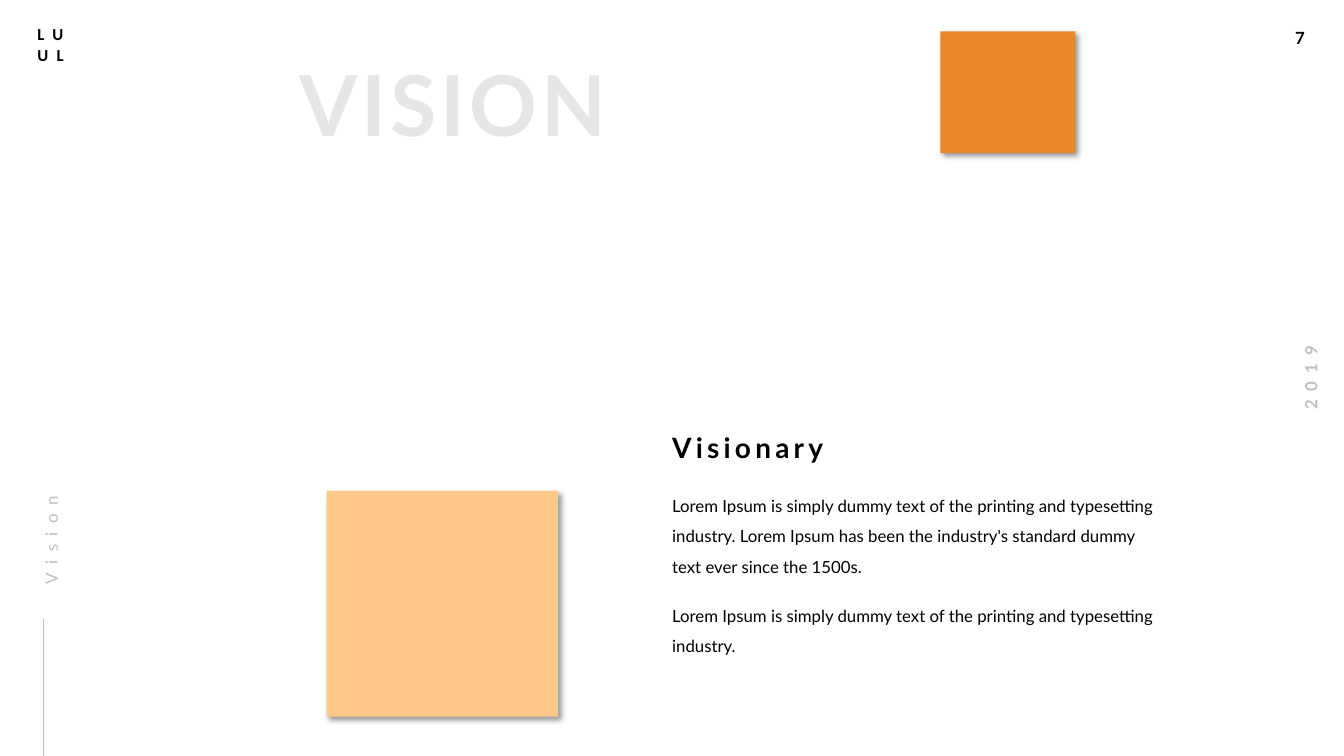
import pptx
import pptx.util
import pptx.dml.color
import pptx.enum.shapes
import pptx.enum.text
import pptx.oxml
import pptx.oxml.ns

Cm = pptx.util.Cm
Pt = pptx.util.Pt
NS = pptx.oxml.ns.nsdecls("a")
SHADOW = (
    f'<a:effectLst {NS}><a:outerShdw blurRad="50800" dist="38100" dir="2700000" algn="tl" rotWithShape="0">'
    '<a:srgbClr val="000000"><a:alpha val="40000"/></a:srgbClr></a:outerShdw></a:effectLst>'
)
BLACK = "000000"
GREY = "BFBFBF"
PALE_GREY = "E6E6E6"
ORANGE = "EB872B"
PEACH = "FFC888"


def rgb(value):
    return pptx.dml.color.RGBColor.from_string(value)


class VisionSlide:
    font = "Lato"
    inset = (0.25, 0.13, 0.25, 0.13)
    flush = (0, 0, 0.25, 0)

    def __init__(self, prs):
        self.slide = prs.slides.add_slide(prs.slide_layouts[5])

    def fill_text(self, sp, lines, size=12, color=BLACK, bold=False, spacing=0, font=None,
                  leading=1.0, align=pptx.enum.text.PP_ALIGN.LEFT, inset=inset, wrap=True):
        tf = sp.text_frame
        tf.word_wrap = wrap
        tf.auto_size = pptx.enum.text.MSO_AUTO_SIZE.SHAPE_TO_FIT_TEXT
        tf.vertical_anchor = pptx.enum.text.MSO_ANCHOR.TOP
        tf.margin_left, tf.margin_top, tf.margin_right, tf.margin_bottom = map(Cm, inset)
        tf.text = lines
        for p in tf.paragraphs:
            p.alignment = align
            p.line_spacing = leading
            p.space_before = Pt(0)
            p.font.name = font or self.font
            p.font.size = Pt(size)
            p.font.bold = bold
            p.font.color.rgb = rgb(color)
            for r in p.runs:
                r._r.get_or_add_rPr().set("spc", str(spacing * 100))

    def title(self, text, x, y, w, h, **style):
        sp = self.slide.shapes.title
        sp.left, sp.top, sp.width, sp.height = map(Cm, (x, y, w, h))
        self.fill_text(sp, text, **style)

    def text(self, text, x, y, w, h, rotation=0, **style):
        sp = self.slide.shapes.add_textbox(Cm(x), Cm(y), Cm(w), Cm(h))
        sp.rotation = rotation
        self.fill_text(sp, text, **style)

    def block(self, x, y, w, h, color):
        sp = self.slide.shapes.add_shape(
            pptx.enum.shapes.MSO_SHAPE.RECTANGLE, Cm(x), Cm(y), Cm(w), Cm(h))
        sp.fill.solid()
        sp.fill.fore_color.rgb = rgb(color)
        sp.line.fill.background()
        sp._element.spPr.append(pptx.oxml.parse_xml(SHADOW))

    def line(self, x1, y1, x2, y2, color, width):
        cn = self.slide.shapes.add_connector(
            pptx.enum.shapes.MSO_CONNECTOR.STRAIGHT, Cm(x1), Cm(y1), Cm(x2), Cm(y2))
        cn.line.color.rgb = rgb(color)
        cn.line.width = Pt(width)
        cn._element.spPr.append(pptx.oxml.parse_xml(f"<a:effectLst {NS}/>"))


def main():
    prs = pptx.Presentation()
    prs.slide_width, prs.slide_height = Cm(33.87), Cm(19.05)
    s = VisionSlide(prs)
    flush = s.flush

    s.title("VISION", 7.54, 1.32, 9, 2.54, size=60, color=PALE_GREY, bold=True, spacing=3, inset=flush)
    s.text("7", 32.39, 0.56, 1.04, 0.76, bold=True, wrap=False)
    s.text("2019", 31.85, 9.14, 2.36, 0.76, rotation=270, color=GREY, bold=True, spacing=6,
           align=pptx.enum.text.PP_ALIGN.CENTER, wrap=False)
    s.text("LU\nUL", 0.69, 0.48, 1.5, 1.27, bold=True, spacing=6, font="Calibri")

    s.block(8.23, 12.37, 5.84, 5.69, PEACH)
    s.block(23.7, 0.79, 3.4, 3.07, ORANGE)

    s.line(1.09, 19.05, 1.09, 15.6, GREY, 0.5)
    s.text("Vision", -1.24, 12.04, 4.7, 0.66, rotation=270, color=GREY, spacing=6,
           leading=1.5, inset=flush)

    column = 16.94
    s.text("Visionary", column, 10.85, 8.89, 0.86, size=20, bold=True, spacing=3, inset=flush)
    s.text("Lorem Ipsum is simply dummy text of the printing and typesetting industry. "
           "Lorem Ipsum has been the industry's standard dummy text ever since the 1500s.",
           column, 12.24, 12.42, 2.21, leading=1.5, inset=flush)
    s.text("Lorem Ipsum is simply dummy text of the printing and typesetting industry.",
           column, 15.01, 12.42, 1.45, leading=1.5, inset=flush)

    prs.save("out.pptx")


if __name__ == "__main__":
    main()
